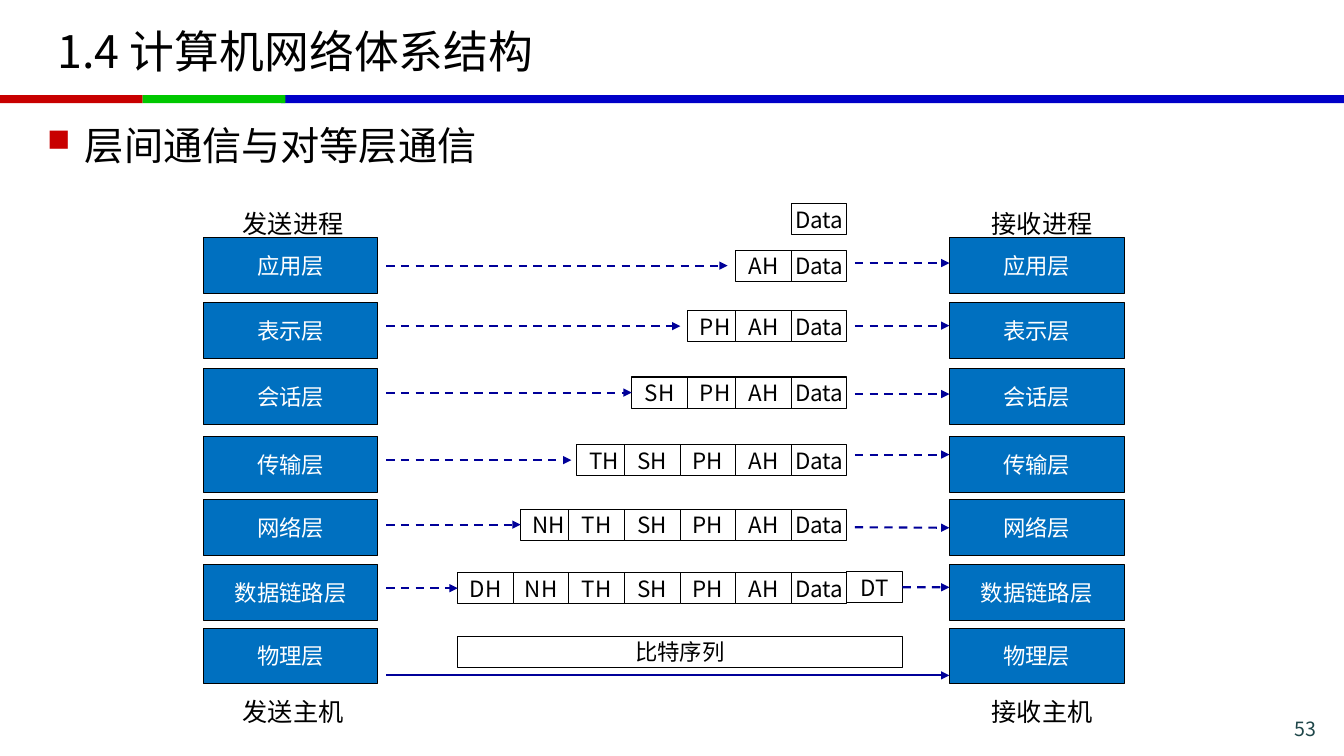
from dataclasses import dataclass

from lxml.etree import SubElement as Sub
from pptx import Presentation
from pptx.dml.color import RGBColor as Rgb
from pptx.enum.dml import MSO_LINE as Dash
from pptx.enum.shapes import MSO_CONNECTOR as Link, MSO_SHAPE as Form
from pptx.enum.text import MSO_ANCHOR as Anchor, PP_ALIGN as Align
from pptx.oxml.ns import qn
from pptx.util import Pt


@dataclass(frozen=True)
class Theme:
    font: str = "Noto Sans CJK SC"
    black: str = "000000"
    white: str = "FFFFFF"
    red: str = "C80000"
    green: str = "00C800"
    blue: str = "0000C8"
    layer: str = "0070C0"
    arrow: str = "000099"
    page: str = "1E4649"
    title: int = 32
    body: int = 28
    label: int = 18
    cell: int = 16
    small: int = 14


class Board:
    def __init__(self, slide, theme):
        self.slide = slide
        self.theme = theme

    def put(self, frame, text, size, color, align=Align.LEFT):
        para = frame.paragraphs[0]
        para.alignment = align
        run = para.add_run()
        run.text = text
        font = run.font
        font.size = Pt(size)
        font.name = self.theme.font
        font.color.rgb = Rgb.from_string(color)
        Sub(run._r.get_or_add_rPr(), qn("a:ea"), typeface=self.theme.font)
        return para

    def title(self, text, x, y, w, h):
        box = self.slide.shapes.title
        box.left, box.top, box.width, box.height = Pt(x), Pt(y), Pt(w), Pt(h)
        box.text_frame.vertical_anchor = Anchor.MIDDLE
        self.put(box.text_frame, text, self.theme.title, self.theme.black)

    def text(self, text, x, y, w, h, size, color, align=Align.LEFT, wrap=True):
        box = self.slide.shapes.add_textbox(Pt(x), Pt(y), Pt(w), Pt(h))
        box.text_frame.word_wrap = wrap
        return self.put(box.text_frame, text, size, color, align)

    def bullet(self, text, x, y, w, h):
        para = self.text(text, x, y, w, h, self.theme.body, self.theme.black)
        props = para._p.get_or_add_pPr()
        indent = Pt(27)
        props.set("marL", str(indent))
        props.set("indent", str(-indent))
        Sub(Sub(props, qn("a:buClr")), qn("a:srgbClr"), val=self.theme.red)
        Sub(props, qn("a:buSzPct"), val="80000")
        Sub(props, qn("a:buChar"), char="■")

    def bar(self, x, y, w, h, fill):
        bar = self.slide.shapes.add_shape(Form.RECTANGLE, Pt(x), Pt(y), Pt(w), Pt(h))
        bar.shadow.inherit = False
        bar.fill.solid()
        bar.fill.fore_color.rgb = Rgb.from_string(fill)
        bar.line.fill.background()
        return bar

    def box(self, text, x, y, w, h, fill, color):
        box = self.bar(x, y, w, h, fill)
        box.line.color.rgb = Rgb.from_string(self.theme.black)
        box.line.width = Pt(0.75)
        box.text_frame.word_wrap = False
        box.text_frame.vertical_anchor = Anchor.MIDDLE
        self.put(box.text_frame, text, self.theme.cell, color, Align.CENTER)
        return box

    def arrow(self, x1, x2, y, dash=True, start=None, end=None):
        line = self.slide.shapes.add_connector(Link.STRAIGHT, Pt(x1), Pt(y), Pt(x2), Pt(y))
        if start is not None:
            line.begin_connect(start, 3)
        if end is not None:
            line.end_connect(end, 1)
        line.line.color.rgb = Rgb.from_string(self.theme.arrow)
        line.line.width = Pt(1.5)
        if dash:
            line.line.dash_style = Dash.DASH
        props = line._element.spPr
        Sub(props.get_or_add_ln(), qn("a:tailEnd"), type="triangle")
        Sub(props, qn("a:effectLst"))


LAYERS = ["应用层", "表示层", "会话层", "传输层", "网络层", "数据链路层", "物理层"]
TOPS = [169.9, 216, 263.5, 311.8, 357.1, 403.2, 448.6]
HEADS = ["AH", "PH", "SH", "TH", "NH", "DH"]
ROWS = [178.6, 221.8, 269.3, 317.5, 363.6, 409]
TUCKED = [0, 1, 2, 1, 1, 0]
STOPS = [519.8, 486, 450.7, 408.2, 371.5, 326.9]
ARRIVE = [187.9, 232.6, 281.5, 324.7, 376.6, 419.5]
LEFT, RIGHT, LAYER_W, LAYER_H = 145.2, 678.2, 124.8, 39.8
DATA, CELL_W, CELL_H, TUCK = 565.2, 39.7, 22.3, 5.2
DEPART = 275.8


def main():
    deck = Presentation()
    deck.slide_width, deck.slide_height = Pt(960), Pt(540)
    theme = Theme()
    board = Board(deck.slides.add_slide(deck.slide_layouts[5]), theme)

    for x, w, fill in [(200.9, 759.1, theme.blue), (0, 102, theme.red), (102, 102, theme.green)]:
        board.bar(x, 67.9, w, 5.8, fill)
    board.title("1.4 计算机网络体系结构", 34, 6, 892, 60)
    board.bullet("层间通信与对等层通信", 26.6, 82.8, 907, 45.4)
    board.text("53", 854, 508.3, 93.6, 20.2, theme.small, theme.page, Align.RIGHT)

    for x, role in [(166.3, "发送"), (701.3, "接收")]:
        for y, part in [(145.4, "进程"), (493.9, "主机")]:
            board.text(role + part, x, y, 86.4, 28.8, theme.label, theme.black, wrap=False)

    peers = []
    for name, y in zip(LAYERS, TOPS):
        board.box(name, LEFT, y, LAYER_W, LAYER_H, theme.layer, theme.white)
        peers.append(board.box(name, RIGHT, y, LAYER_W, LAYER_H, theme.layer, theme.white))

    def cell(text, x, y, w=CELL_W):
        return board.box(text, x, y, w, CELL_H, theme.white, theme.black)

    cell("Data", DATA, 145.4)
    firsts = []
    for row, y in enumerate(ROWS):
        names = HEADS[row::-1] + ["Data"]
        cells = []
        for col, name in enumerate(names):
            shift = TUCK if col < TUCKED[row] else 0
            cells.append(cell(name, DATA - CELL_W * (row + 1 - col) + shift, y))
        firsts.append(cells[0])
    trailer = cell("DT", DATA + CELL_W, 408.3)
    cell("比特序列", 326.9, 454.3, 317.7)

    for first, stop, y in zip(firsts, STOPS, ROWS):
        touch = abs(first.left - Pt(stop)) < Pt(1)
        board.arrow(DEPART, stop, y + CELL_H / 2, end=first if touch else None)
    for row, y in enumerate(ARRIVE):
        last = row == len(ARRIVE) - 1
        peer = peers[row]
        middle = peer.top + peer.height // 2
        board.arrow(644.6 if last else 610.6, RIGHT, y,
                    start=trailer if last else None,
                    end=peer if abs(middle - Pt(y)) < Pt(1) else None)
    board.arrow(DEPART, RIGHT, 482.4, dash=False)

    deck.save("out.pptx")


if __name__ == "__main__":
    main()
